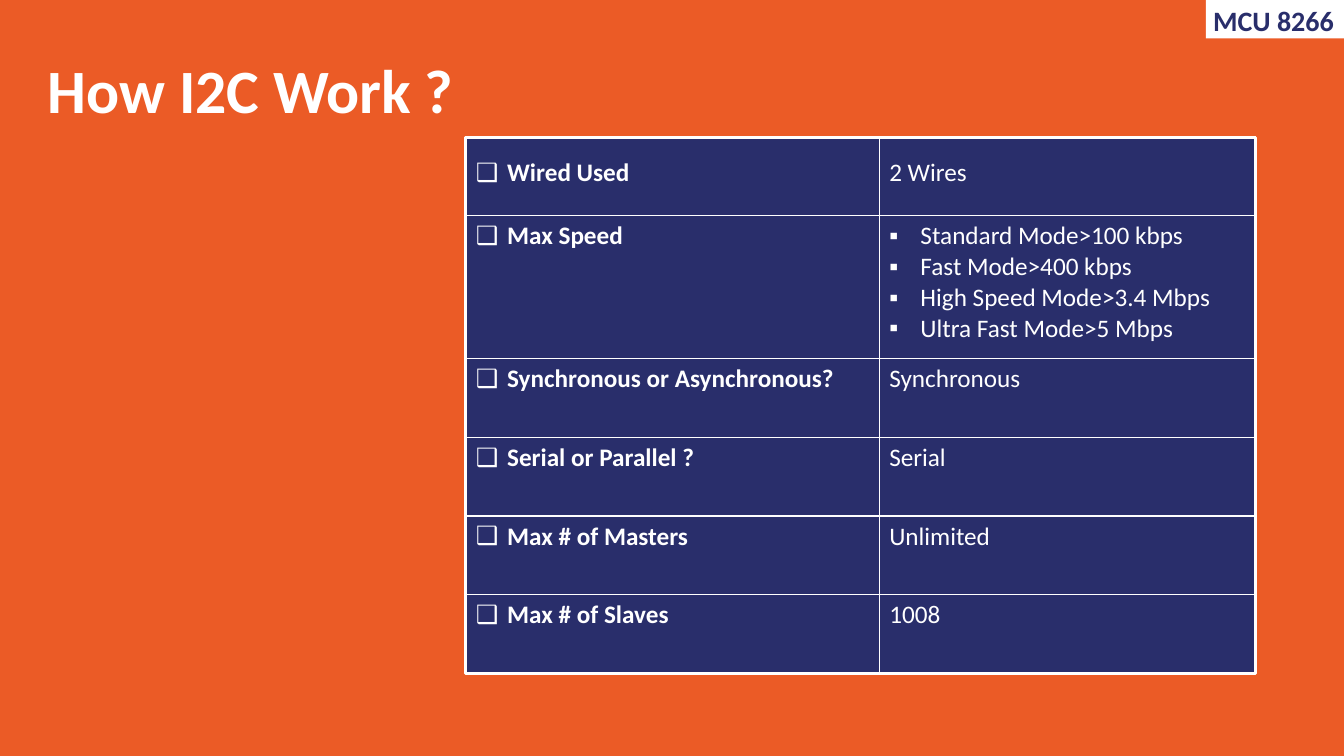
from lxml.etree import SubElement
from pptx import Presentation
from pptx.dml.color import RGBColor
from pptx.enum.shapes import MSO_SHAPE
from pptx.enum.text import MSO_ANCHOR, MSO_AUTO_SIZE, PP_ALIGN
from pptx.oxml.ns import qn
from pptx.util import Inches, Pt

# Content
TITLE = "How I2C Work ?"
TAG = "MCU 8266"
FACTS = [
    ("Wired Used", ["2 Wires"]),
    ("Max Speed", ["Standard Mode>100 kbps", "Fast Mode>400 kbps",
                   "High Speed Mode>3.4 Mbps", "Ultra Fast Mode>5 Mbps"]),
    ("Synchronous or Asynchronous?", ["Synchronous"]),
    ("Serial or Parallel ?", ["Serial"]),
    ("Max # of Masters", ["Unlimited"]),
    ("Max # of Slaves", ["1008"]),
]
COLORS = {"orange": "EB5B26", "navy": "292E6B", "white": "FFFFFF"}
FONT = "Calibri"

# Layout in inches
WIDTH, HEIGHT = 13.33, 7.5
TABLE_LEFT, TABLE_TOP = 4.62, 1.36
COLUMNS = (4.1, 3.73)
ROW, TALL_ROW = 0.78, 1.42
INDENT = 0.31
TAG_WIDTH, TAG_HEIGHT = 1.37, 0.38


def color(name):
    return RGBColor.from_string(COLORS[name])


def place(shape, left, top, width, height):
    shape.left, shape.top = Inches(left), Inches(top)
    shape.width, shape.height = Inches(width), Inches(height)


def style(para, size, ink, bold=False):
    para.font.name, para.font.size, para.font.bold = FONT, Pt(size), bold
    para.font.color.rgb = color(ink)


def add_bullet(para, mark):
    properties = para._p.get_or_add_pPr()
    properties.set("marL", str(Inches(INDENT)))
    properties.set("indent", str(-Inches(INDENT)))
    SubElement(properties, qn("a:buFont"), typeface=FONT)
    SubElement(properties, qn("a:buChar"), char=mark)


def write_heading(shape, text, size, ink, align):
    frame = shape.text_frame
    frame.word_wrap, frame.auto_size = True, MSO_AUTO_SIZE.NONE
    frame.vertical_anchor = MSO_ANCHOR.BOTTOM
    frame.text = text
    para = frame.paragraphs[0]
    para.alignment, para.line_spacing = align, 0.9
    style(para, size, ink, True)


def add_plain_rectangle(left, top, width, height):
    box = slide.shapes.add_shape(MSO_SHAPE.RECTANGLE, Inches(left), Inches(top),
                                 Inches(width), Inches(height))
    box.shadow.inherit = False
    return box


def format_cell(cell):
    properties = cell._tc.get_or_add_tcPr()
    for side in ("lnL", "lnR", "lnT", "lnB"):
        line = SubElement(properties, qn(f"a:{side}"), w=str(Pt(1)))
        fill = SubElement(line, qn("a:solidFill"))
        SubElement(fill, qn("a:srgbClr"), val=COLORS["white"])
    cell.fill.solid()
    cell.fill.fore_color.rgb = color("navy")


def write_cell(cell, lines, mark=None, bold=False, spacing=None):
    cell.text = "\n".join(lines)
    for para in cell.text_frame.paragraphs:
        if mark:
            add_bullet(para, mark)
        if spacing:
            para.line_spacing = spacing
        style(para, 18, "white", bold)


deck = Presentation()
deck.slide_width, deck.slide_height = Inches(WIDTH), Inches(HEIGHT)
slide = deck.slides.add_slide(deck.slide_layouts[5])

# Background and title
slide.background.fill.solid()
slide.background.fill.fore_color.rgb = color("orange")
place(slide.shapes.title, 0.37, 0, 5.26, 1.31)
write_heading(slide.shapes.title, TITLE, 44, "white", PP_ALIGN.LEFT)

# Corner tag, with the full width left of the text free for one line
tag_left = WIDTH - TAG_WIDTH
tag_panel = add_plain_rectangle(tag_left, 0, TAG_WIDTH, TAG_HEIGHT)
tag_panel.fill.solid()
tag_panel.fill.fore_color.rgb = color("white")
tag_panel.line.fill.background()
tag = slide.shapes.add_textbox(0, 0, 0, 0)
place(tag, tag_left, 0.04, TAG_WIDTH, TAG_HEIGHT)
write_heading(tag, TAG, 20, "navy", PP_ALIGN.RIGHT)
tag.text_frame.margin_left = 0

# Table of facts
heights = [TALL_ROW if len(values) > 1 else ROW for _, values in FACTS]
area = (TABLE_LEFT, TABLE_TOP, sum(COLUMNS), sum(heights))
table = slide.shapes.add_table(len(FACTS), len(COLUMNS),
                               *(Inches(length) for length in area)).table
table.first_row = table.horz_banding = False
for column, width in zip(table.columns, COLUMNS):
    column.width = Inches(width)
for index, (label, values) in enumerate(FACTS):
    table.rows[index].height = Inches(heights[index])
    spacing = 1.5 if index == 0 else None
    label_cell, value_cell = table.cell(index, 0), table.cell(index, 1)
    write_cell(label_cell, [label], "❑", True, spacing)
    write_cell(value_cell, values, "▪" if len(values) > 1 else None, False, spacing)
    for cell in (label_cell, value_cell):
        format_cell(cell)

# Table frame
frame_box = add_plain_rectangle(*area)
frame_box.fill.background()
frame_box.line.color.rgb = color("white")
frame_box.line.width = Pt(2.25)

deck.save("out.pptx")
